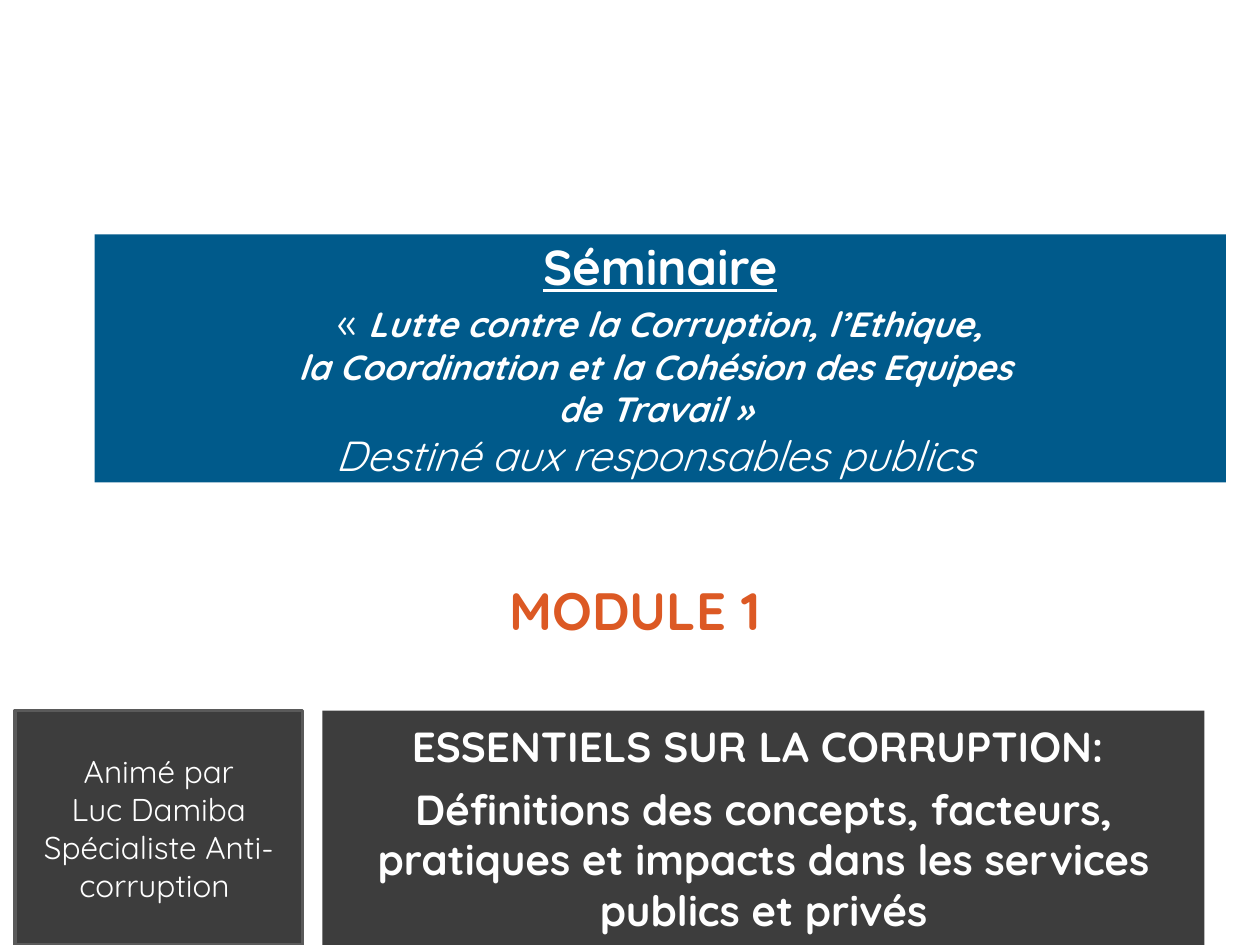
"""Build the opening slide of module 1 of the anti-corruption seminar."""
from pptx import Presentation
from pptx.dml.color import RGBColor
from pptx.enum.shapes import MSO_SHAPE
from pptx.enum.text import MSO_ANCHOR, PP_ALIGN
from pptx.util import Inches, Pt


def rgb(value):
    return RGBColor.from_string(value)


def add_run(p, text, size, color="FFFFFF", bold=False, italic=False, underline=False):
    r = p.add_run()
    r.text = text
    r.font.name = "Quicksand"
    r.font.size = Pt(size)
    r.font.color.rgb = rgb(color)
    r.font.bold, r.font.italic, r.font.underline = bold, italic, underline


prs = Presentation()
prs.slide_width, prs.slide_height = Inches(10), Inches(7.5)
s = prs.slides.add_slide(prs.slide_layouts[6])

frames = []
for left, top, width, height, fill, line in [
    (0.75, 1.86, 8.98, 1.97, "005A8B", None),
    (2.56, 5.64, 7, 1.86, "3D3D3D", None),
    (0.12, 5.64, 2.28, 1.86, "3D3D3D", "5A5A5A"),
]:
    sp = s.shapes.add_shape(MSO_SHAPE.RECTANGLE, Inches(left), Inches(top),
                            Inches(width), Inches(height))
    sp.shadow.inherit = False
    sp.fill.solid()
    sp.fill.fore_color.rgb = rgb(fill)
    if line:
        sp.line.color.rgb = rgb(line)
        sp.line.width = Pt(2)
    else:
        sp.line.fill.background()
    tf = sp.text_frame
    tf.word_wrap = True
    tf.vertical_anchor = MSO_ANCHOR.MIDDLE
    tf.paragraphs[0].alignment = PP_ALIGN.CENTER
    frames.append(tf)
seminar, subject, speaker = frames

p = seminar.paragraphs[0]
add_run(p, "Séminaire", 28, bold=True, underline=True)
p.add_line_break()
add_run(p, "« ", 24)
for text in ["Lutte contre la Corruption, l’Ethique,",
             "la Coordination et la Cohésion des Equipes ",
             "de Travail » "]:
    add_run(p, text, 20, bold=True, italic=True)
    p.add_line_break()
add_run(p, "Destiné aux responsables publics ", 24, italic=True)

tf = s.shapes.add_textbox(Inches(1.54), Inches(4.54), Inches(7), Inches(0.79)).text_frame
tf.word_wrap = True
p = tf.paragraphs[0]
p.alignment = PP_ALIGN.CENTER
add_run(p, "MODULE 1", 30, "DC5924", bold=True)

for tf, size, bold, gap, lines in [
    (subject, 24, True, 7, [
        "ESSENTIELS SUR LA CORRUPTION: ",
        "Définitions des concepts, facteurs, pratiques et impacts "
        "dans les services publics et privés"]),
    (speaker, 18, False, 0, [
        "Animé par", "Luc Damiba", "Spécialiste Anti-corruption "]),
]:
    for i, text in enumerate(lines):
        p = tf.add_paragraph() if i else tf.paragraphs[0]
        p.alignment = PP_ALIGN.CENTER
        if i:
            p.space_before = Pt(gap)
        add_run(p, text, size, bold=bold)

prs.save("out.pptx")
